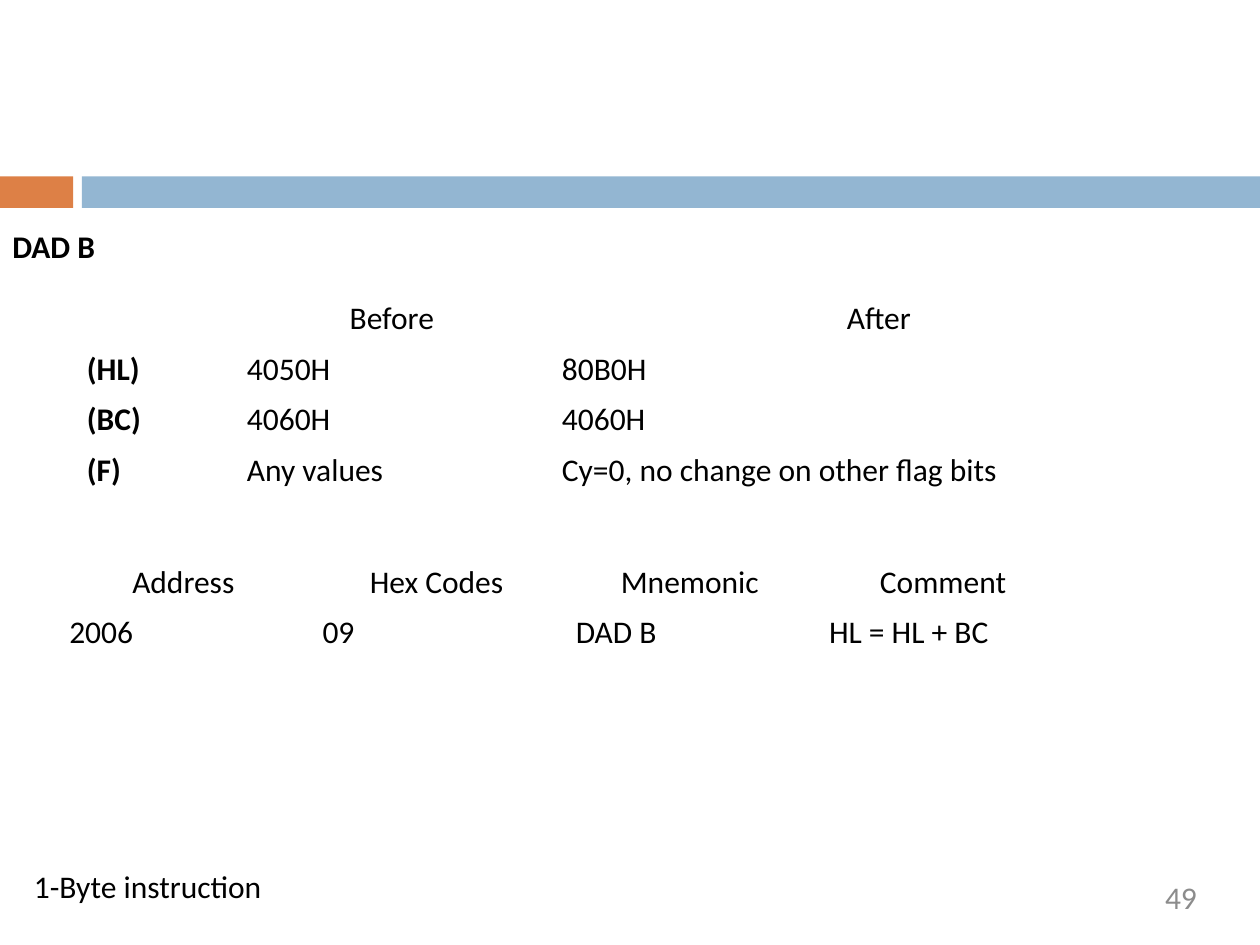
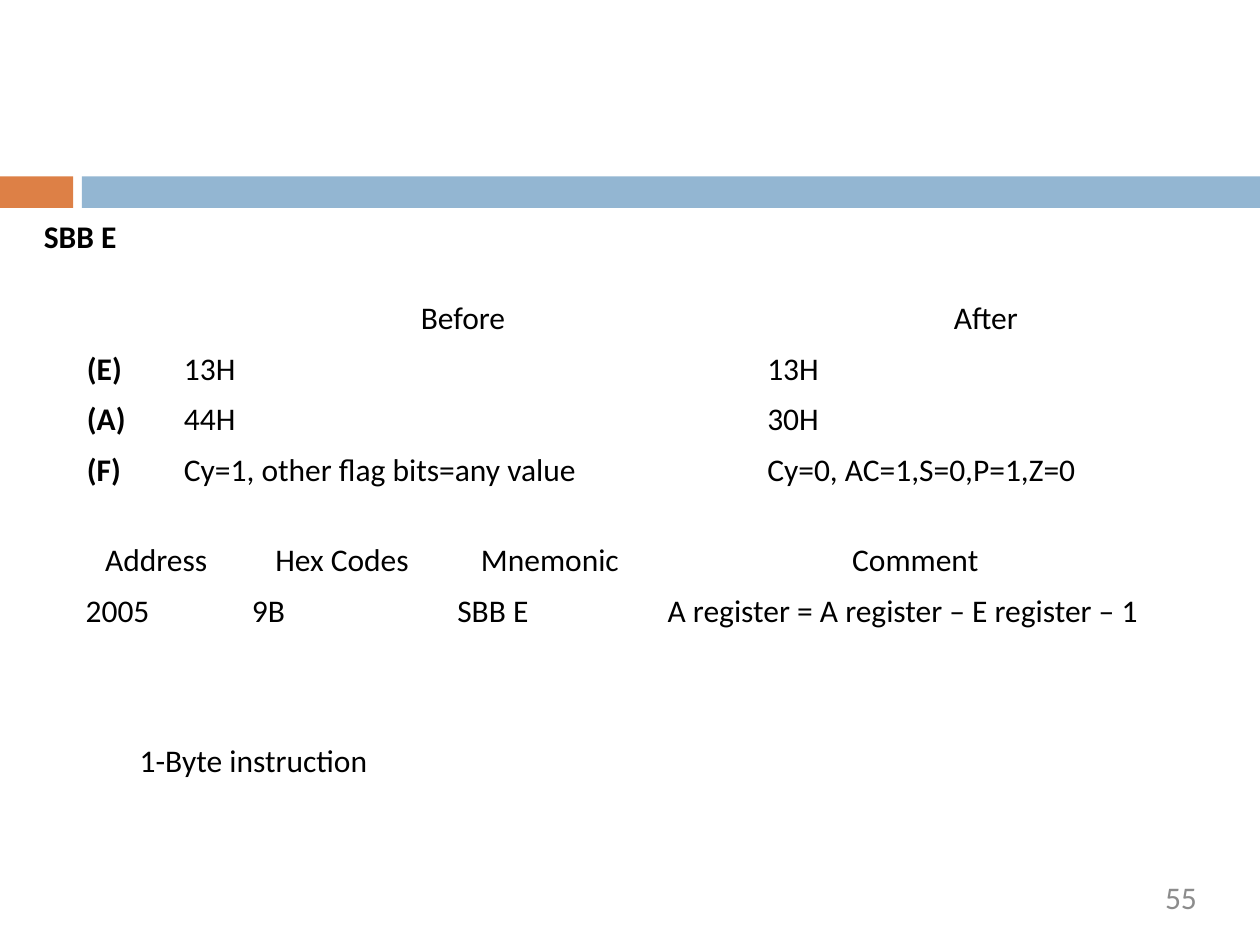
from pptx import Presentation
from pptx.dml.color import RGBColor
from pptx.enum.shapes import MSO_SHAPE as Shape
from pptx.enum.text import MSO_ANCHOR as Anchor, PP_ALIGN as Align
from pptx.util import Inches, Pt

INK, GREY = "000000", "8C8C8C"
BANDS = [(0, 0.58, "DD8046"), (0.65, 9.35, "93B6D2")]
BAND_TOP, BAND_HEIGHT, ROW_HEIGHT = 1.4, 0.25, 0.4
STATE_HEADER = ["", "Before", "After"]
CODE_HEADER = ["Address", "Hex Codes", "Mnemonic", "Comment"]
NOTE = "1-Byte instruction"

INSTRUCTIONS = [
    {
        "number": "49",
        "mnemonic": ("DAD B", (0, 1.75, 0.93, 0.4)),
        "note_at": (0.17, 6.83, 2.09, 0.4),
        "state_at": (0.59, 2.33),
        "state_widths": [1.27, 2.5, 5.23],
        "state": [
            ["(HL)", "4050H", "80B0H"],
            ["(BC)", "4060H", "4060H"],
            ["(F)", "Any values", "Cy=0, no change on other flag bits"],
        ],
        "code_at": (0.45, 4.42),
        "code_widths": [2.01] * 4,
        "code": [["2006", "09", "DAD B", "HL = HL + BC"]],
    },
    {
        "number": "55",
        "mnemonic": ("SBB E", (0.25, 1.67, 0.84, 0.4)),
        "note_at": (1.01, 5.83, 2.09, 0.4),
        "state_at": (0.59, 2.33),
        "state_widths": [0.77, 4.63, 3.67],
        "state": [
            ["(E)", "13H", "13H"],
            ["(A)", "44H", "30H"],
            ["(F)", "Cy=1, other flag bits=any value", "Cy=0, AC=1,S=0,P=1,Z=0"],
        ],
        "code_at": (0.58, 4.25),
        "code_widths": [1.32, 1.63, 1.67, 4.13],
        "code": [["2005", "9B", "SBB E", "A register = A register – E register – 1"]],
    },
]


def color(value):
    return RGBColor.from_string(value)


def write(frame, text, ink=INK, bold=False, align=Align.LEFT):
    paragraph = frame.paragraphs[0]
    paragraph.alignment = align
    run = paragraph.add_run()
    run.text = text
    for name, value in {"name": "Calibri", "size": Pt(18), "bold": bold}.items():
        setattr(run.font, name, value)
    run.font.color.rgb = color(ink)


def add_label(slide, text, place, **style):
    frame = slide.shapes.add_textbox(*map(Inches, place)).text_frame
    frame.word_wrap = False
    write(frame, text, **style)
    return frame


def add_bands(slide):
    for left, width, fill in BANDS:
        band = slide.shapes.add_shape(
            Shape.RECTANGLE, *map(Inches, (left, BAND_TOP, width, BAND_HEIGHT)))
        band.shadow.inherit = False
        band.fill.solid()
        band.fill.fore_color.rgb = color(fill)
        band.line.fill.background()


def add_number(slide, number):
    frame = add_label(slide, number, (7.2, 6.97, 2.3, 0.38), ink=GREY, align=Align.RIGHT)
    frame.word_wrap = True
    for side in ("left", "top", "right", "bottom"):
        setattr(frame, f"margin_{side}", 0)


def add_grid(slide, place, widths, rows, bold_first=False):
    size = (sum(widths), ROW_HEIGHT * len(rows))
    table = slide.shapes.add_table(
        len(rows), len(widths), *map(Inches, (*place, *size))).table
    table.first_row = table.horz_banding = False
    for column, width in zip(table.columns, widths):
        column.width = Inches(width)
    for r, row in enumerate(rows):
        for c, text in enumerate(row):
            cell = table.cell(r, c)
            cell.fill.background()
            cell.vertical_anchor = Anchor.MIDDLE
            if text:
                write(cell.text_frame, text, bold=bold_first and c == 0,
                      align=Align.LEFT if r else Align.CENTER)


def main():
    deck = Presentation()
    deck.slide_width, deck.slide_height = Inches(10), Inches(7.5)
    for item in INSTRUCTIONS:
        slide = deck.slides.add_slide(deck.slide_layouts[6])
        add_bands(slide)
        add_number(slide, item["number"])
        add_label(slide, *item["mnemonic"], bold=True)
        add_label(slide, NOTE, item["note_at"])
        add_grid(slide, item["state_at"], item["state_widths"],
                 [STATE_HEADER, *item["state"]], bold_first=True)
        add_grid(slide, item["code_at"], item["code_widths"], [CODE_HEADER, *item["code"]])
    deck.save("out.pptx")


if __name__ == "__main__":
    main()
